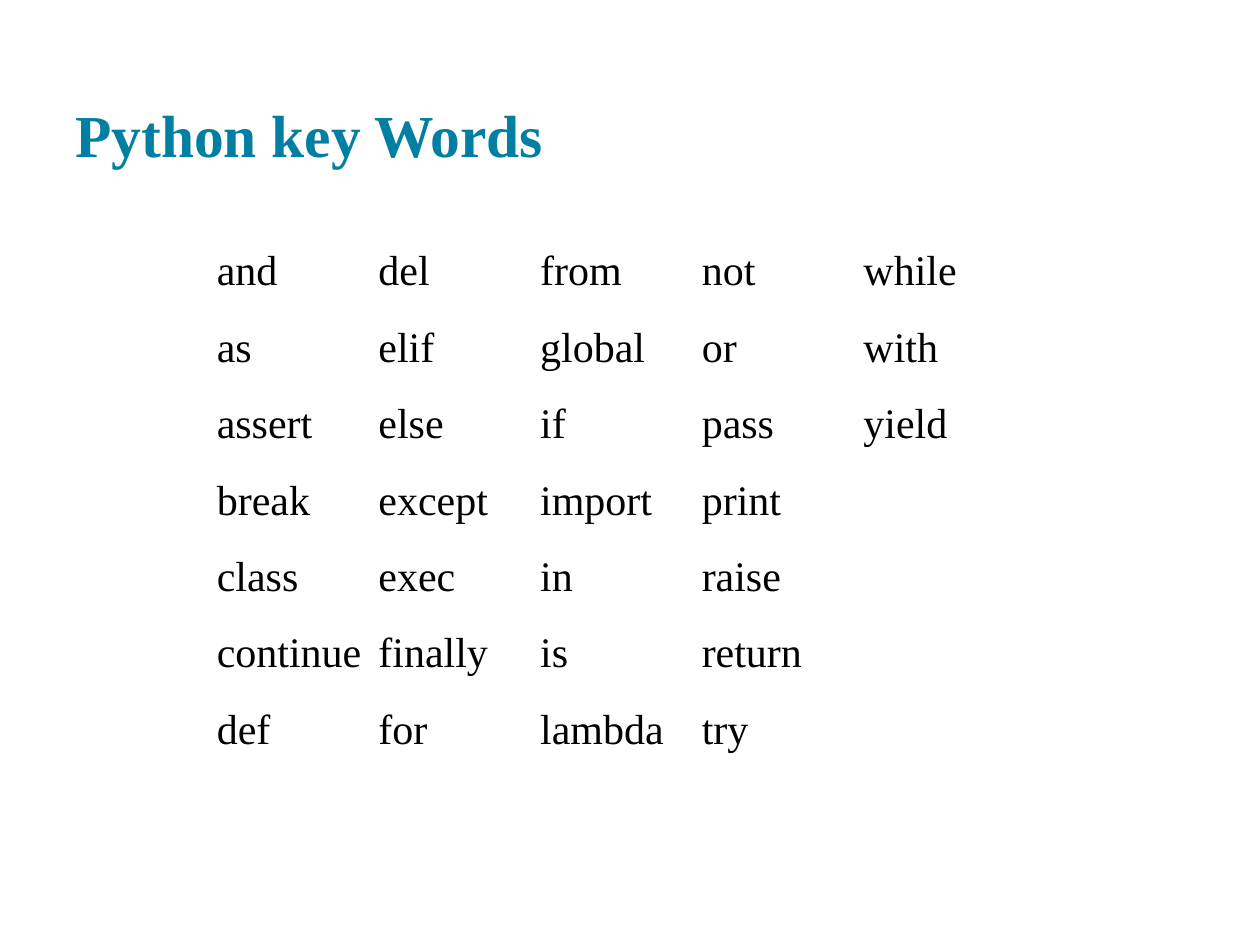
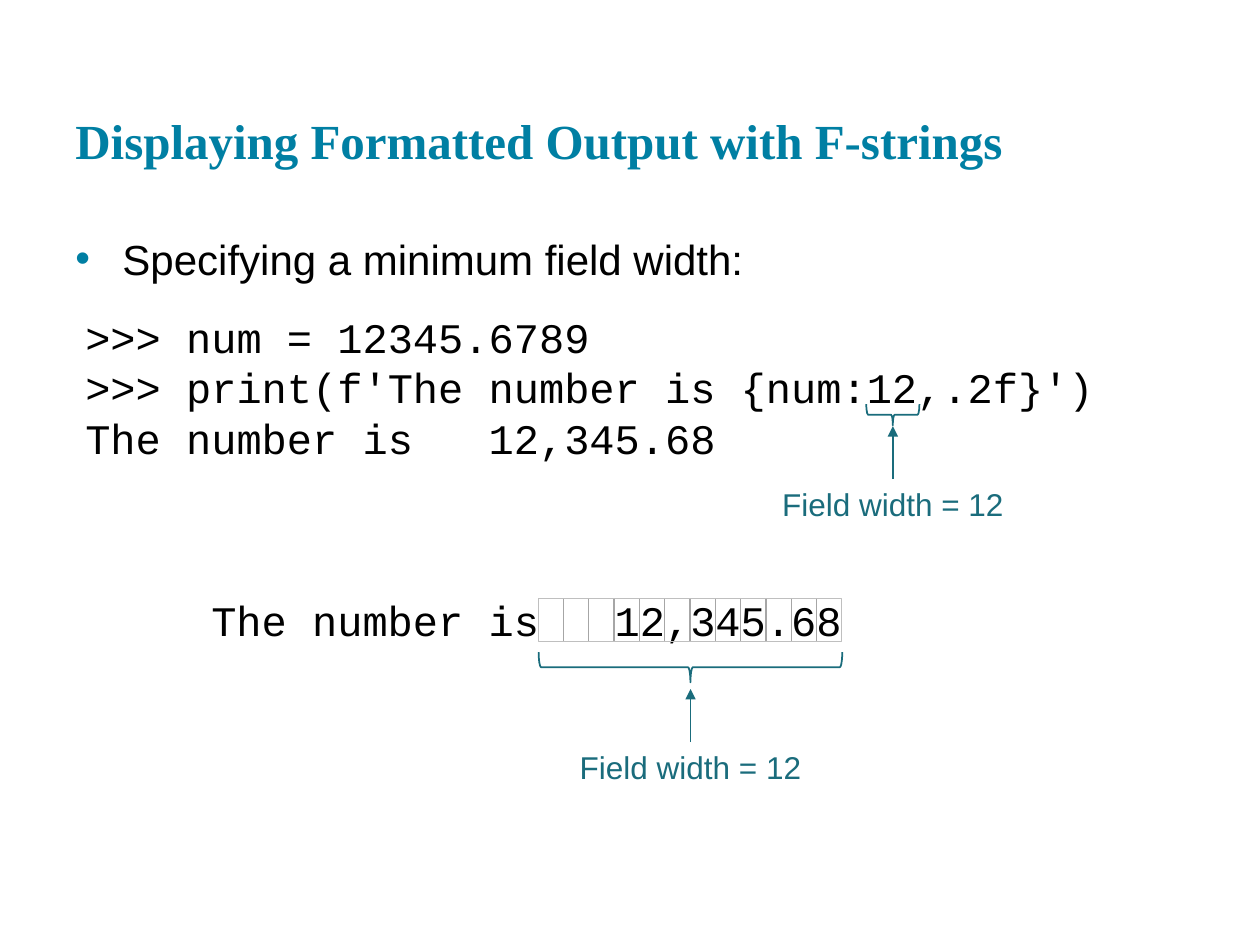
from lxml import etree
from pptx import Presentation
from pptx import util as u
from pptx.dml.color import RGBColor
from pptx.enum import shapes, text
from pptx.oxml import ns

Cm, Pt = u.Cm, u.Pt

# Shared look
TEAL = RGBColor(0x00, 0x7F, 0xA3)
NOTE = RGBColor(0x1A, 0x6C, 0x7C)
BLACK = RGBColor(0, 0, 0)
FRAME = RGBColor(0xBF, 0xBF, 0xBF)
DIVIDER = RGBColor(0xA6, 0xA6, 0xA6)
SERIF, SANS, MONO = "Times New Roman", "Arial", "Courier New"
PAD = 0.25

KEYWORD_COLUMNS = [
    "and as assert break class continue def".split(),
    "del elif else except exec finally for".split(),
    "from global if import in is lambda".split(),
    "not or pass print raise return try".split(),
    "while with yield".split(),
]
RESULT = "The number is   12,345.68"
CODE = [
    ">>> num = 12345.6789",
    ">>> print(f'The number is {num:12,.2f}')",
    RESULT,
]
FIELD_WIDTH = 12


def style(p, size, name, color=BLACK, bold=False):
    p.font.size, p.font.name, p.font.bold = Pt(size), name, bold
    p.font.color.rgb = color


def add_text(parent, box, lines, size, name, color=BLACK, bold=False, pad=None):
    sp = parent.add_textbox(*map(Cm, box))
    tf = sp.text_frame
    tf.word_wrap = True
    if pad is not None:
        tf.margin_left = tf.margin_right = Cm(pad)
        tf.margin_top = tf.margin_bottom = Cm(pad)
    tf.text = "\n".join(lines)
    for p in tf.paragraphs:
        style(p, size, name, color, bold)
    return sp


def add_title(s, title, size):
    sp = add_text(s.shapes, (1.27, 0.61, 22.86, 3.05), [title], size, SERIF,
                  TEAL, True, PAD)
    sp.text_frame.vertical_anchor = text.MSO_ANCHOR.BOTTOM


def add_bullet(s, box, line):
    sp = add_text(s.shapes, box, [], 24, SANS, pad=PAD)
    p = sp.text_frame.paragraphs[0]
    p.text = line
    pPr = p._p.get_or_add_pPr()
    pPr.set("marL", str(Cm(0.95)))
    pPr.set("indent", str(-Cm(0.95)))
    defaults = pPr.find(ns.qn("a:defRPr"))
    color = etree.Element(ns.qn("a:buClr"))
    etree.SubElement(color, ns.qn("a:srgbClr"), val=str(TEAL))
    font = etree.Element(ns.qn("a:buFont"), typeface=SANS)
    char = etree.Element(ns.qn("a:buChar"), char="•")
    for element in (color, font, char):
        defaults.addprevious(element)


def add_line(parent, start, end, color, width, arrow=False):
    line = parent.add_connector(shapes.MSO_CONNECTOR.STRAIGHT,
                                *map(Cm, start + end))
    line.line.color.rgb = color
    line.line.width = Pt(width)
    if arrow:
        etree.SubElement(line.line._get_or_add_ln(), ns.qn("a:tailEnd"),
                         type="triangle")
    etree.SubElement(line._element.spPr, ns.qn("a:effectLst"))
    return line


def add_outline(parent, kind, box, color, width):
    sp = parent.add_shape(kind, *map(Cm, box))
    sp.shadow.inherit = False
    sp.fill.background()
    sp.line.color.rgb = color
    sp.line.width = Pt(width)
    return sp


def add_keyword_table(s, left, top, col_width, row_height):
    cols, rows = len(KEYWORD_COLUMNS), len(KEYWORD_COLUMNS[0])
    table = s.shapes.add_table(rows, cols, Cm(left), Cm(top),
                               Cm(col_width * cols), Cm(row_height * rows)).table
    table.first_row = table.horz_banding = False
    for cell in table.iter_cells():
        cell.fill.background()
        cell.margin_left = cell.margin_right = Cm(0.13)
        cell.margin_top = cell.margin_bottom = Cm(0.13)
    for c, words in enumerate(KEYWORD_COLUMNS):
        for r, word in enumerate(words):
            tf = table.cell(r, c).text_frame
            tf.text = word
            style(tf.paragraphs[0], 24, SERIF)


def add_field_grid(s, left, top, width, height):
    """Printed result with one grid cell for each character of the field."""
    group = s.shapes.add_group_shape().shapes
    add_text(group, (4.01, 11.86, 14.4, 1.3), [RESULT], 24, MONO)
    add_outline(group, shapes.MSO_SHAPE.RECTANGLE, (left, top, width, height),
                FRAME, 0.75)
    for i in range(1, FIELD_WIDTH):
        x = left + i * width / FIELD_WIDTH
        add_line(group, (x, top), (x, top + height), DIVIDER, 0.75)


def add_width_callout(s, cx, cy, span, depth, tip):
    """Brace below a field, with an arrow rising to it from a label."""
    brace = add_outline(s.shapes, shapes.MSO_SHAPE.LEFT_BRACE,
                        (cx - depth / 2, cy - span / 2, depth, span), NOTE, 1)
    brace.rotation = 270
    label_top, label_width = tip + 1.07, 5.04
    label = add_text(s.shapes, (cx - label_width / 2, label_top, label_width, 1.03),
                     [f"Field width = {FIELD_WIDTH}"], 18, SANS, NOTE)
    label.text_frame.word_wrap = False
    label.text_frame.paragraphs[0].alignment = text.PP_ALIGN.CENTER
    arrow = add_line(s.shapes, (cx, label_top), (cx, tip), NOTE, 1, arrow=True)
    arrow.begin_connect(label, 0)


def main():
    prs = Presentation()
    prs.slide_width, prs.slide_height = Cm(25.4), Cm(19.05)
    blank = prs.slide_layouts[6]

    # Key words
    s = prs.slides.add_slide(blank)
    add_title(s, "Python key Words", 34)
    add_keyword_table(s, 4.24, 4.88, 3.26, 1.54)

    # Field width in f-strings
    s = prs.slides.add_slide(blank)
    add_title(s, "Displaying Formatted Output with F-strings", 28)
    add_bullet(s, (1.27, 4.45, 22.86, 5.08), "Specifying a minimum field width:")
    add_text(s.shapes, (1.47, 6.15, 20.96, 3.33), CODE, 24, MONO)
    add_field_grid(s, 10.85, 12.07, 6.12, 0.86)
    add_width_callout(s, 18, 8.36, 1.07, 0.43, 8.59)
    add_width_callout(s, 13.92, 13.45, 6.12, 0.61, 13.89)

    prs.save("out.pptx")


if __name__ == "__main__":
    main()
